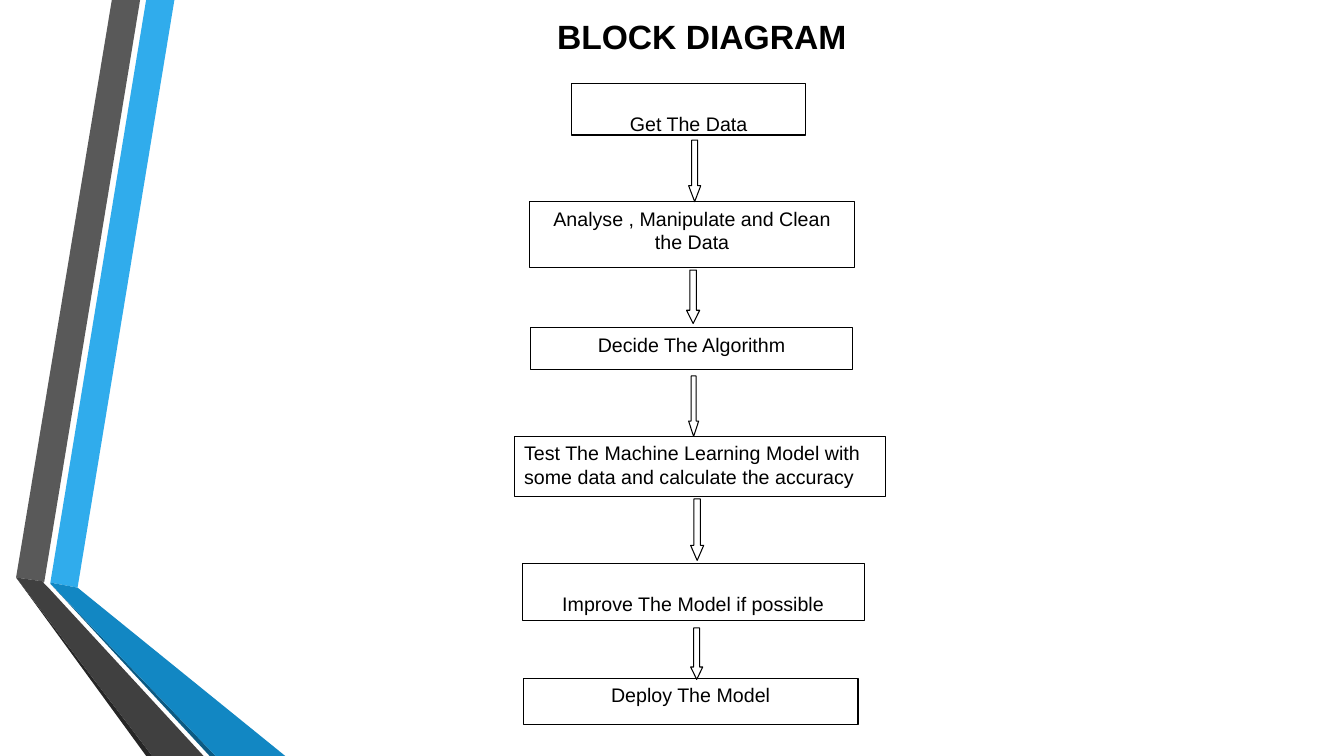
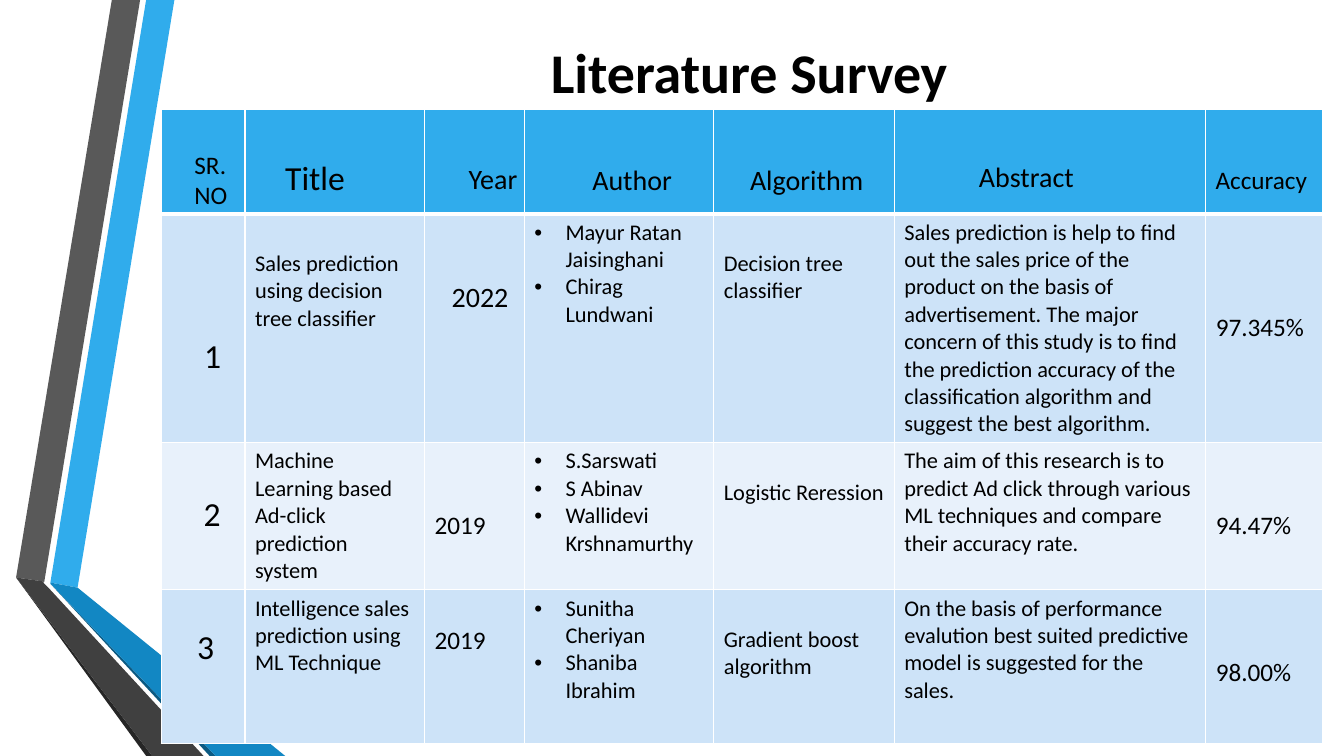
from lxml import etree
from pptx import Presentation
from pptx.dml.color import RGBColor
from pptx.enum.shapes import MSO_SHAPE
from pptx.enum.text import MSO_ANCHOR, PP_ALIGN
from pptx.oxml.ns import qn
from pptx.util import Inches, Pt

RECT, DOWN_ARROW = MSO_SHAPE.RECTANGLE, MSO_SHAPE.DOWN_ARROW
LEFT, CENTER, TOP = PP_ALIGN.LEFT, PP_ALIGN.CENTER, MSO_ANCHOR.TOP

BLACK = RGBColor(0x00, 0x00, 0x00)
WHITE = RGBColor(0xFF, 0xFF, 0xFF)
SKY = RGBColor(0x30, 0xAC, 0xEC)
BLUE = RGBColor(0x12, 0x87, 0xC3)
NAVY = RGBColor(0x0C, 0x5A, 0x82)
GRAY = RGBColor(0x59, 0x59, 0x59)
DARK_GRAY = RGBColor(0x40, 0x40, 0x40)
CHARCOAL = RGBColor(0x26, 0x26, 0x26)
PALE = RGBColor(0xCD, 0xE3, 0xF8)
PALER = RGBColor(0xE8, 0xF1, 0xFB)

# Folded ribbons at the left edge, from back to front
RIBBONS = [
    (SKY, [(0.5, 5.78), (0.77, 5.83), (1.73, 0), (1.45, 0)]),
    (GRAY, [(1.39, 0), (1.11, 0), (0.16, 5.73), (0.44, 5.77)]),
    (CHARCOAL, [(0.16, 5.73), (1.45, 7.5), (1.51, 7.5)]),
    (NAVY, [(0.5, 5.79), (2.08, 7.5), (2.14, 7.5)]),
    (BLUE, [(0.5, 5.79), (2.14, 7.5), (2.83, 7.5), (0.77, 5.83), (0.5, 5.78)]),
    (DARK_GRAY, [(2.02, 7.5), (0.48, 5.83), (0.43, 5.78), (0.44, 5.77),
                 (0.16, 5.73), (1.51, 7.5)]),
]


def write(tf, lines, size, font, align=LEFT, bold=False):
    tf.word_wrap = True
    for i, line in enumerate(lines):
        p = tf.paragraphs[0] if i == 0 else tf.add_paragraph()
        p.alignment = align
        r = p.add_run()
        r.text = line
        r.font.color.rgb = BLACK
        values = {"name": font, "size": Pt(size), "bold": bold}
        for name, value in values.items():
            setattr(r.font, name, value)


def new_slide(title, box, size, font):
    slide = prs.slides.add_slide(prs.slide_layouts[6])
    for color, points in RIBBONS:
        corners = [(Inches(x), Inches(y)) for x, y in points]
        builder = slide.shapes.build_freeform(*corners[0])
        builder.add_line_segments(corners[1:], close=True)
        sp = builder.convert_to_shape()
        sp.shadow.inherit = False
        sp.fill.solid()
        sp.fill.fore_color.rgb = color
        sp.line.fill.background()
    sp = slide.shapes.add_textbox(*map(Inches, box))
    write(sp.text_frame, [title], size, font, CENTER, True)
    return slide


prs = Presentation()
prs.slide_width, prs.slide_height = Inches(13.33), Inches(7.5)

# Slide 1: block diagram
slide = new_slide("BLOCK DIAGRAM", (5.23, 0.11, 3.46, 0.5), 24, "Arial")

# Steps: text, box, alignment, top margin
steps = [
    ("Get The Data", (5.67, 0.83, 2.32, 0.51), CENTER, 0.28),
    ("Analyse , Manipulate and Clean the Data", (5.25, 2, 3.23, 0.65), CENTER, 0.05),
    ("Decide The Algorithm", (5.26, 3.25, 3.2, 0.42), CENTER, 0.05),
    ("Test The Machine Learning Model with some data and calculate the accuracy",
     (5.1, 4.33, 3.68, 0.6), LEFT, 0.05),
    ("Improve The Model if possible", (5.18, 5.59, 3.39, 0.57), CENTER, 0.28),
    ("Deploy The Model", (5.19, 6.73, 3.32, 0.46), CENTER, 0.05),
]
# Arrows: box, head length relative to width
arrows = [
    ((6.83, 1.39, 0.12, 0.61), 1.31),
    ((6.81, 2.68, 0.13, 0.53), 1.01),
    ((6.83, 3.73, 0.1, 0.6), 1.52),
    ((6.85, 4.95, 0.13, 0.61), 1.15),
    ((6.85, 6.23, 0.12, 0.51), 1.02),
]
blocks = []
for text, box, align, margin in steps:
    sp = slide.shapes.add_shape(RECT, *map(Inches, box))
    tf = sp.text_frame
    tf.vertical_anchor = TOP
    tf.margin_top, tf.margin_bottom = Inches(margin), 0
    write(tf, [text], 14, "Arial", align)
    blocks.append(sp)
for box, head in arrows:
    sp = slide.shapes.add_shape(DOWN_ARROW, *map(Inches, box))
    sp.adjustments[1] = head
    blocks.append(sp)
for sp in blocks:
    sp.shadow.inherit = False
    sp.fill.solid()
    sp.fill.fore_color.rgb = WHITE
    sp.line.color.rgb = BLACK
    sp.line.width = Pt(0.75)

# Slide 2: literature survey
slide = new_slide("Literature Survey", (4.66, 0.32, 5.54, 0.77), 40, "Calibri")

# Columns: width, text size, left margin
columns = [(0.83, 18, 0.1), (1.78, 16, 0.1), (0.99, 18, 0.1), (1.88, 16, 0.1),
           (1.79, 16, 0.1), (3.09, 16, 0.1), (1.16, 18, 0.1)]
AUTHOR_COL = 3
# Rows: height, fill, cells as (lines, text lines skipped above)
EMPTY = ([], 0)
rows = [
    (1.03, SKY, [EMPTY] * len(columns)),
    (2.27, PALE, [
        EMPTY,
        (["Sales prediction using decision tree classifier"], 1),
        (["2022"], 2),
        (["Mayur Ratan Jaisinghani", "Chirag Lundwani"], 0),
        (["Decision tree classifier"], 1),
        (["Sales prediction is help to find out the sales price of the product "
          "on the basis of advertisement. The major concern of this study is to "
          "find the prediction accuracy of the classification algorithm and "
          "suggest the best algorithm."], 0),
        (["97.345%"], 3)]),
    (1.46, PALER, [
        EMPTY,
        (["Machine Learning based Ad-click prediction system"], 0),
        (["2019"], 2),
        (["S.Sarswati", "S Abinav", "Wallidevi Krshnamurthy"], 0),
        (["Logistic Reression"], 1),
        (["The aim of this research is to predict Ad click through various ML "
          "techniques and compare their accuracy rate."], 0),
        (["94.47%"], 2)]),
    (1.53, PALE, [
        EMPTY,
        (["Intelligence sales prediction using ML Technique"], 0),
        (["2019"], 1),
        (["Sunitha Cheriyan", "Shaniba Ibrahim"], 0),
        (["Gradient boost algorithm"], 1),
        (["On the basis of performance evalution best suited predictive model "
          "is suggested for the sales."], 0),
        (["98.00%"], 2)]),
]
LINE = 0.31

table = slide.shapes.add_table(
    len(rows), len(columns), Inches(1.6), Inches(1.09),
    Inches(sum(c[0] for c in columns)), Inches(sum(r[0] for r in rows))).table
for col, (width, size, left) in zip(table.columns, columns):
    col.width = Inches(width)

for i, (height, fill, cells) in enumerate(rows):
    table.rows[i].height = Inches(height)
    for j, (lines, skipped) in enumerate(cells):
        cell = table.cell(i, j)
        width, size, left = columns[j]
        if lines == ["2022"]:
            size, left = 20, 0.27
        margins = {"margin_top": 0.05 + skipped * LINE, "margin_left": left,
                   "margin_right": 0.1, "margin_bottom": 0}
        for name, value in margins.items():
            setattr(cell, name, Inches(value))
        write(cell.text_frame, lines, size, "Calibri")

        # White borders, thicker below the header
        tcPr = cell._tc.get_or_add_tcPr()
        for side in ("lnL", "lnR", "lnT", "lnB"):
            thick = (i, side) in ((0, "lnB"), (1, "lnT"))
            ln = etree.SubElement(tcPr, qn("a:" + side), w=str(Pt(3 if thick else 1)))
            solid = etree.SubElement(ln, qn("a:solidFill"))
            etree.SubElement(solid, qn("a:srgbClr"), val=str(WHITE))
        cell.fill.solid()
        cell.fill.fore_color.rgb = fill

        # Bulleted author names
        if lines and j == AUTHOR_COL:
            for p in cell.text_frame.paragraphs:
                pPr = p._p.get_or_add_pPr()
                pPr.set("marL", str(Inches(0.31)))
                pPr.set("indent", str(-Inches(0.31)))
                etree.SubElement(pPr, qn("a:buFont"), typeface="Arial")
                etree.SubElement(pPr, qn("a:buChar"), char="•")

# Column headings and row numbers on top of the table
labels = [
    (["SR.", "NO"], (1.83, 1.43, 0.79, 0.71), 18, LEFT),
    (["Title"], (2.11, 1.51, 2.03, 0.5), 24, CENTER),
    (["Year"], (4.35, 1.55, 1.08, 0.44), 20, CENTER),
    (["Author"], (5.5, 1.56, 1.54, 0.44), 20, CENTER),
    (["Algorithm"], (6.99, 1.56, 2.02, 0.44), 20, CENTER),
    (["Abstract"], (9.01, 1.53, 2.34, 0.44), 20, CENTER),
    (["Accuracy"], (11.89, 1.58, 1.24, 0.4), 18, CENTER),
    (["1"], (1.83, 3.27, 0.56, 0.5), 24, CENTER),
    (["2"], (1.74, 4.84, 0.73, 0.5), 24, CENTER),
    (["3"], (1.74, 6.16, 0.6, 0.5), 24, CENTER),
]
for lines, box, size, align in labels:
    sp = slide.shapes.add_textbox(*map(Inches, box))
    write(sp.text_frame, lines, size, "Calibri", align)

prs.save("out.pptx")
